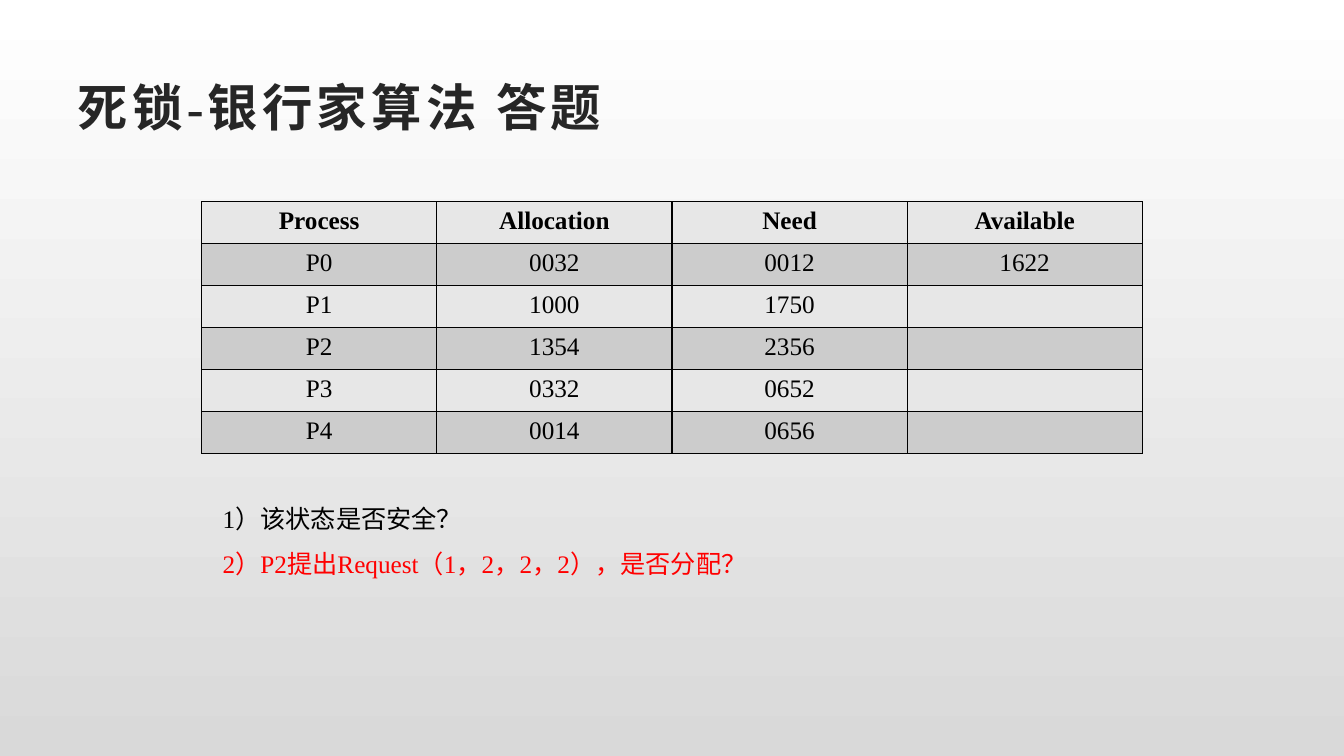
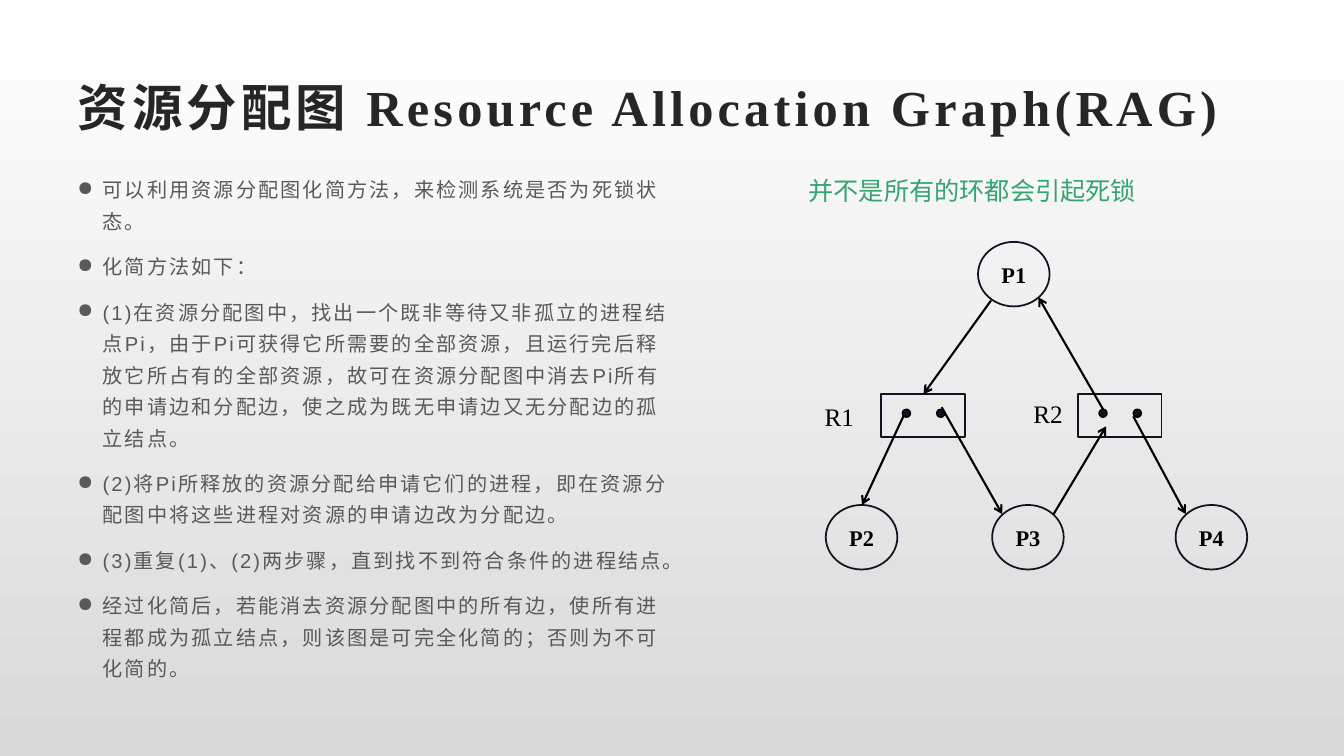
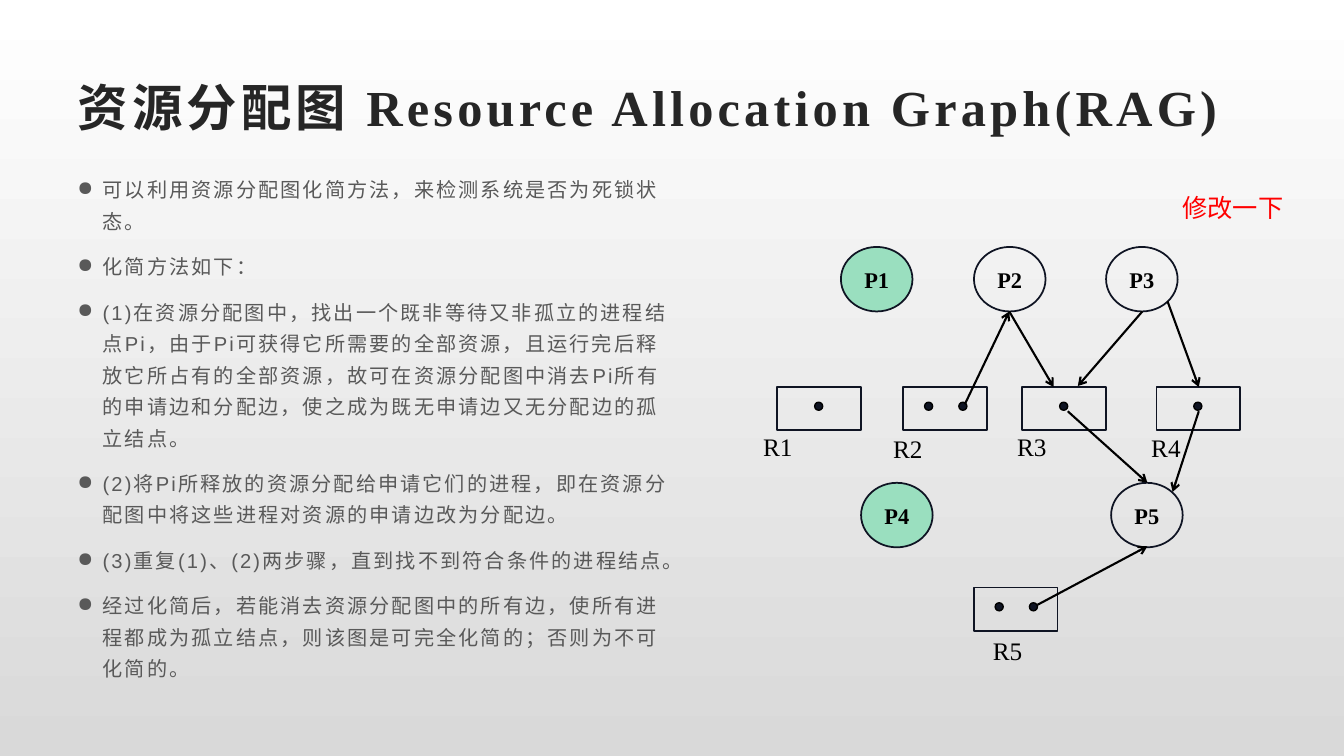
import dataclasses

import lxml.etree
import pptx
import pptx.dml.color
import pptx.enum.shapes
import pptx.enum.text
import pptx.oxml
import pptx.oxml.ns
import pptx.util

Inches = pptx.util.Inches
Pt = pptx.util.Pt
SHAPE = pptx.enum.shapes.MSO_SHAPE
ALIGN = pptx.enum.text.PP_ALIGN
ANCHOR = pptx.enum.text.MSO_ANCHOR
qn = pptx.oxml.ns.qn


@dataclasses.dataclass(frozen=True)
class Theme:
    serif: str = "Times New Roman"
    sans: str = "Arial"
    title: str = "262626"
    body: str = "595959"
    ink: str = "000000"
    outline: str = "0F1423"
    red: str = "FF0000"
    green: str = "34A471"
    reduced: str = "9ADFBF"
    rows: tuple = ("E7E7E7", "CCCCCC")
    background: tuple = ("FFFFFF", "D9D9D9")
    title_size: float = 36
    text_size: float = 18
    node_size: float = 16
    body_size: float = 14.4


T = Theme()
NODE_W, NODE_H = 0.71, 0.64
BOX_W, BOX_H = 0.83, 0.43
DOT, DOT_TOP = 0.08, 0.15
DOT_LEFTS = {1: (0.37,), 2: (0.21, 0.55)}

RAG_TITLE = "资源分配图 Resource Allocation Graph(RAG)"
REDUCTION_STEPS = (
    "可以利用资源分配图化简方法，来检测系统是否为死锁状态。",
    "化简方法如下：",
    "(1)在资源分配图中，找出一个既非等待又非孤立的进程结点Pi，由于Pi可获得它所需要的全部资源，"
    "且运行完后释放它所占有的全部资源，故可在资源分配图中消去Pi所有的申请边和分配边，"
    "使之成为既无申请边又无分配边的孤立结点。",
    "(2)将Pi所释放的资源分配给申请它们的进程，即在资源分配图中将这些进程对资源的申请边改为分配边。",
    "(3)重复(1)、(2)两步骤，直到找不到符合条件的进程结点。",
    "经过化简后，若能消去资源分配图中的所有边，使所有进程都成为孤立结点，"
    "则该图是可完全化简的；否则为不可化简的。",
)
BANKER_ROWS = (
    ("Process", "Allocation", "Need", "Available"),
    ("P0", "0032", "0012", "1622"),
    ("P1", "1000", "1750", ""),
    ("P2", "1354", "2356", ""),
    ("P3", "0332", "0652", ""),
    ("P4", "0014", "0656", ""),
)


def rgb(color):
    return pptx.dml.color.RGBColor.from_string(color)


def inches(*lengths):
    return [Inches(v) for v in lengths]


def set_font(p, size, name, color, bold=False, spacing=0):
    p.font.size = Pt(size)
    p.font.name = name
    p.font.bold = bold
    p.font.color.rgb = rgb(color)
    if spacing:
        p._p.get_or_add_pPr().get_or_add_defRPr().set("spc", str(int(spacing * 100)))


def set_background(prs):
    fill = prs.slide_master.background.fill
    fill.gradient()
    fill.gradient_angle = 270
    for stop, color in zip(fill.gradient_stops, T.background):
        stop.color.rgb = rgb(color)


def add_slide(prs, title):
    s = prs.slides.add_slide(prs.slide_layouts[5])
    sp = s.shapes.title
    sp.left, sp.top, sp.width, sp.height = inches(0.67, 0.67, 12, 0.77)
    tf = sp.text_frame
    tf.auto_size = pptx.enum.text.MSO_AUTO_SIZE.NONE
    tf.vertical_anchor = ANCHOR.MIDDLE
    tf.text = title
    p = tf.paragraphs[0]
    p.alignment = ALIGN.LEFT
    set_font(p, T.title_size, T.serif, T.title, True, 3)
    return s


def add_text(s, at, lines, size=T.text_size, font=T.serif, spacing=0, leading=None):
    tf = s.shapes.add_textbox(*inches(*at)).text_frame
    tf.word_wrap = True
    for i, (line, color) in enumerate(lines):
        p = tf.add_paragraph() if i else tf.paragraphs[0]
        p.text = line
        p.line_spacing = leading
        set_font(p, size, font, color, spacing=spacing)
    return tf


def add_bullets(s, at, lines):
    tf = add_text(s, at, [(line, T.body) for line in lines], T.body_size, T.sans, 1.5, 1.3)
    for p in tf.paragraphs:
        p.space_after = Pt(10)
        pPr = p._p.get_or_add_pPr()
        pPr.set("marL", str(Inches(0.25)))
        pPr.set("indent", str(-Inches(0.25)))
        bullet = pptx.oxml.parse_xml(
            '<a:buChar xmlns:a="http://schemas.openxmlformats.org/drawingml/2006/main" char="●"/>')
        pPr.get_or_add_defRPr().addprevious(bullet)


def set_borders(cell):
    tcPr = cell._tc.get_or_add_tcPr()
    for i, side in enumerate(("a:lnL", "a:lnR", "a:lnT", "a:lnB")):
        ln = lxml.etree.Element(qn(side), w=str(Pt(1)))
        fill = lxml.etree.SubElement(ln, qn("a:solidFill"))
        lxml.etree.SubElement(fill, qn("a:srgbClr"), val=T.ink)
        tcPr.insert(i, ln)


def add_table(s, at, rows):
    table = s.shapes.add_table(len(rows), len(rows[0]), *inches(*at)).table
    table.horz_banding = False
    for i, row in enumerate(rows):
        for j, text in enumerate(row):
            cell = table.cell(i, j)
            cell.fill.solid()
            cell.fill.fore_color.rgb = rgb(T.rows[i % 2])
            set_borders(cell)
            cell.text = text
            p = cell.text_frame.paragraphs[0]
            p.alignment = ALIGN.CENTER
            set_font(p, T.text_size, T.serif, T.ink, i == 0)


def add_outline(s, kind, at, fill=None, line=T.outline, width=1.25):
    sp = s.shapes.add_shape(kind, *inches(*at))
    sp.shadow.inherit = False
    if fill:
        sp.fill.solid()
        sp.fill.fore_color.rgb = rgb(fill)
    else:
        sp.fill.background()
    sp.line.color.rgb = rgb(line)
    sp.line.width = Pt(width)
    return sp


def add_process(s, name, left, top, fill=None):
    tf = add_outline(s, SHAPE.OVAL, (left, top, NODE_W, NODE_H), fill).text_frame
    tf.word_wrap = False
    tf.vertical_anchor = ANCHOR.MIDDLE
    tf.text = name
    p = tf.paragraphs[0]
    p.alignment = ALIGN.CENTER
    set_font(p, T.node_size, T.serif, T.ink, True)


def add_resource(s, name, left, top, units, label_left, label_top):
    add_outline(s, SHAPE.RECTANGLE, (left, top, BOX_W, BOX_H))
    for dx in DOT_LEFTS[units]:
        add_outline(s, SHAPE.OVAL, (left + dx, top + DOT_TOP, DOT, DOT), T.outline, T.ink, 1)
    add_text(s, (label_left, label_top, 0.66, 0.4), [(name, T.ink)])


def add_arrow(s, x1, y1, x2, y2):
    cxn = s.shapes.add_connector(
        pptx.enum.shapes.MSO_CONNECTOR.STRAIGHT, *inches(x1, y1, x2, y2))
    cxn.line.color.rgb = rgb(T.ink)
    cxn.line.width = Pt(1.5)
    lxml.etree.SubElement(cxn.line._get_or_add_ln(), qn("a:tailEnd"), type="arrow")
    lxml.etree.SubElement(cxn._element.spPr, qn("a:effectLst"))


def add_rag_slide(prs, note, note_at, note_color, processes, resources, arrows):
    s = add_slide(prs, RAG_TITLE)
    add_bullets(s, (0.67, 1.64, 6.11, 5.19), REDUCTION_STEPS)
    add_text(s, note_at, [(note, note_color)], font=T.sans)
    for process in processes:
        add_process(s, *process)
    for resource in resources:
        add_resource(s, *resource)
    for arrow in arrows:
        add_arrow(s, *arrow)


def add_banker_slide(prs):
    s = add_slide(prs, "死锁-银行家算法 答题")
    add_table(s, (2, 2, 9.33, 2.5), BANKER_ROWS)
    add_text(s, (2.11, 4.79, 10.94, 1.01), [
        ("1）该状态是否安全？", T.ink),
        ("2）P2提出Request（1，2，2，2），是否分配？", T.red),
    ], leading=1.5)


def add_cycle_slide(prs):
    add_rag_slide(
        prs, "并不是所有的环都会引起死锁", (7.92, 1.69, 4.45, 0.4), T.green,
        processes=(
            ("P1", 9.7, 2.4),
            ("P2", 8.19, 5.01),
            ("P3", 9.84, 5.01),
            ("P4", 11.66, 5.01),
        ),
        resources=(
            ("R1", 8.74, 3.91, 2, 8.08, 3.93),
            ("R2", 10.69, 3.91, 2, 10.15, 3.9),
        ),
        arrows=(
            (9.83, 2.98, 9.16, 3.91),
            (10.94, 4.06, 10.3, 2.95),
            (8.96, 4.13, 8.55, 5.01),
            (9.34, 4.04, 9.94, 5.1),
            (11.24, 4.13, 11.76, 5.1),
            (10.45, 5.1, 10.97, 4.23),
        ))


def add_reduction_slide(prs):
    add_rag_slide(
        prs, "修改一下", (11.63, 1.86, 1.37, 0.4), T.red,
        processes=(
            ("P1", 8.34, 2.45, T.reduced),
            ("P2", 9.66, 2.45),
            ("P3", 10.97, 2.45),
            ("P4", 8.54, 4.79, T.reduced),
            ("P5", 11.02, 4.79),
        ),
        resources=(
            ("R1", 7.71, 3.84, 1, 7.47, 4.23),
            ("R2", 8.96, 3.84, 2, 8.76, 4.25),
            ("R3", 10.14, 3.84, 1, 9.99, 4.23),
            ("R4", 11.47, 3.84, 1, 11.32, 4.24),
            ("R5", 9.66, 5.83, 2, 9.75, 6.25),
        ),
        arrows=(
            (9.57, 4.01, 10.01, 3.09),
            (10.01, 3.09, 10.45, 3.84),
            (11.33, 3.09, 10.69, 3.83),
            (11.58, 2.99, 11.89, 3.84),
            (10.59, 4.08, 11.38, 4.79),
            (11.89, 4.08, 11.63, 4.88),
            (10.29, 6, 11.38, 5.42),
        ))


def main():
    prs = pptx.Presentation()
    prs.slide_width, prs.slide_height = inches(13.33, 7.5)
    set_background(prs)
    add_banker_slide(prs)
    add_cycle_slide(prs)
    add_reduction_slide(prs)
    prs.save("out.pptx")


if __name__ == "__main__":
    main()
